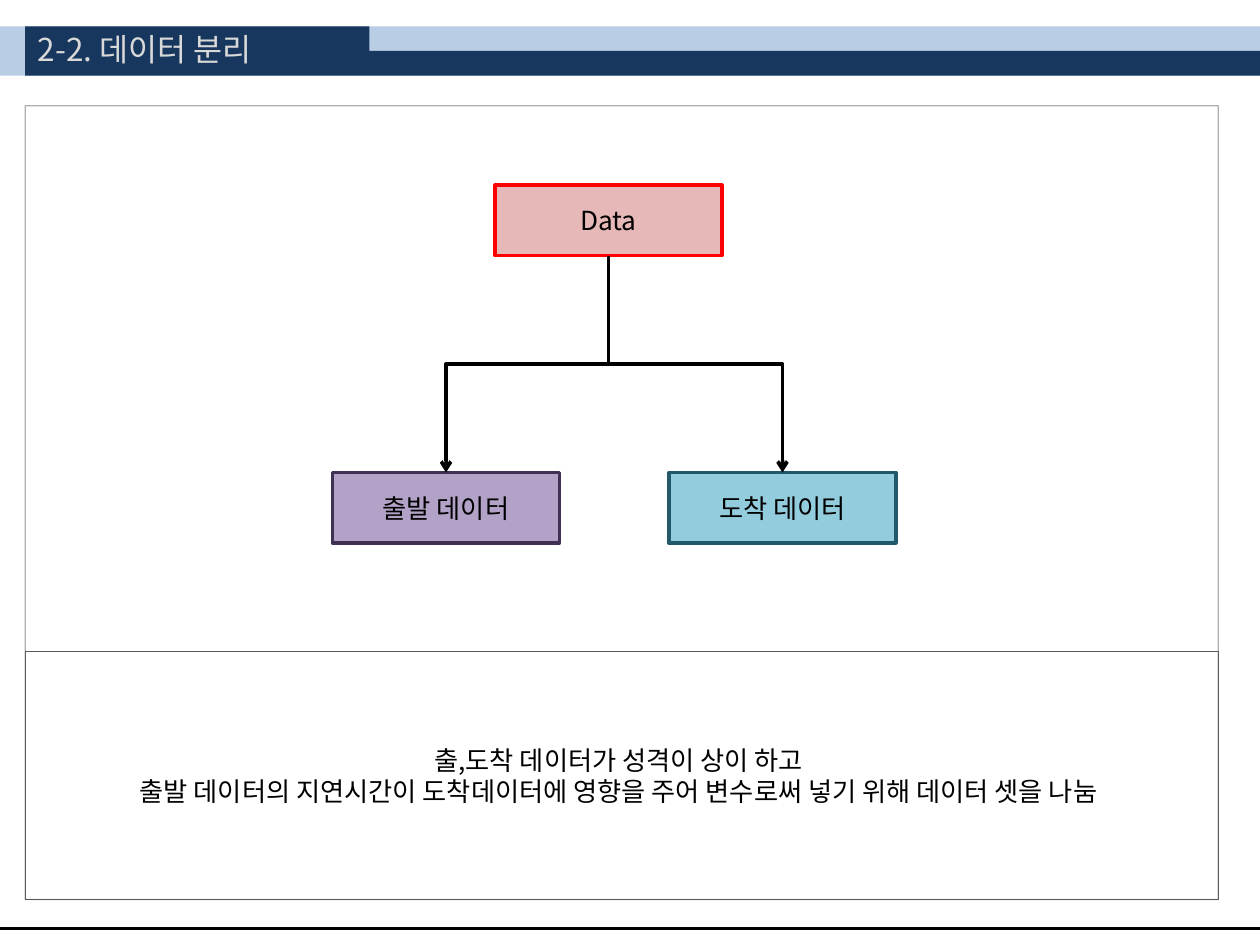
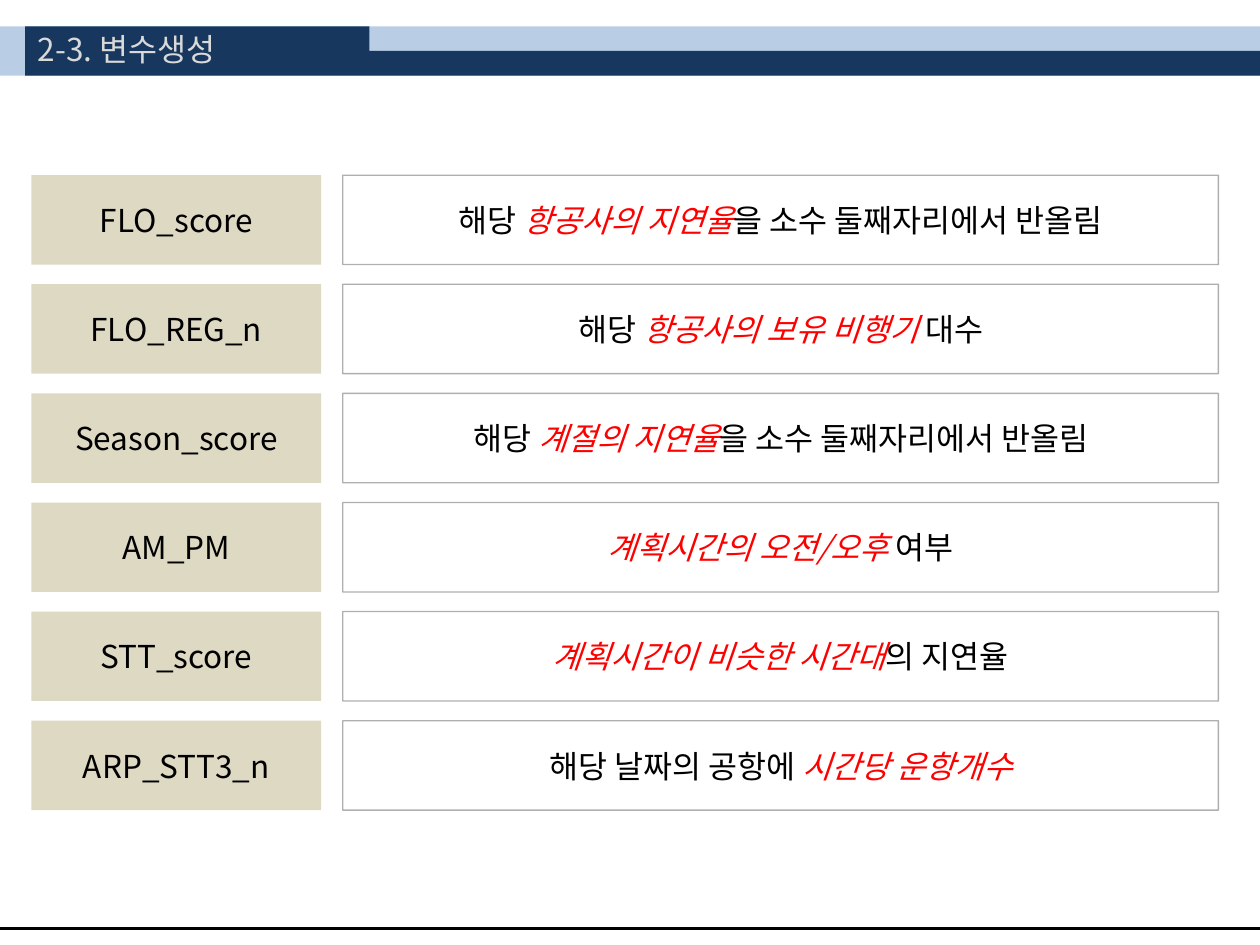
import dataclasses

import lxml.etree
import pptx
import pptx.dml.color
import pptx.enum.shapes
import pptx.enum.text
import pptx.oxml.ns
import pptx.util

Inches = pptx.util.Inches
Pt = pptx.util.Pt
qn = pptx.oxml.ns.qn
SHAPES = pptx.enum.shapes.MSO_SHAPE
CONNECTORS = pptx.enum.shapes.MSO_CONNECTOR
ALIGN = pptx.enum.text.PP_ALIGN
ANCHOR = pptx.enum.text.MSO_ANCHOR
BOTTOM_SIDE, TOP_SIDE = 2, 0


@dataclasses.dataclass(frozen=True)
class Theme:
    font: str = "Noto Sans CJK KR"
    title_size: int = 18
    variable_size: int = 18
    diagram_size: int = 15
    hairline: int = 0
    heavy: int = 2
    frame_alpha: int = 48
    band: str = "B9CDE5"
    navy: str = "17375E"
    title: str = "D9D9D9"
    ink: str = "000000"
    accent: str = "FF0000"
    frame: str = "595959"
    beige: str = "DDD9C3"
    rose: str = "E6B9B8"
    blue: str = "93CDDD"
    blue_edge: str = "215968"
    purple: str = "B3A2C7"
    purple_edge: str = "403152"


def rgb(value):
    return pptx.dml.color.RGBColor.from_string(value)


class Deck:
    def __init__(self, theme):
        self.theme = theme
        self.prs = pptx.Presentation()
        self.prs.slide_width, self.prs.slide_height = Inches(10), Inches(7.5)
        self.s = None

    def slide(self, title):
        """Start a slide with the header bands, footer line and title."""
        t = self.theme
        self.s = self.prs.slides.add_slide(self.prs.slide_layouts[5])
        self.box(0, 0.21, 10, 0.39, fill=t.band)
        header = self.box(0.2, 0.21, 9.8, 0.39, fill=t.navy, shape=SHAPES.CORNER)
        header.adjustments[0], header.adjustments[1] = 0.5, 7.0
        self.footer_line()
        self.title(title)

    def title(self, text):
        t = self.theme
        sp = self.s.shapes.title
        sp.left, sp.top = Inches(0.2), Inches(0.19)
        sp.width, sp.height = Inches(2.52), Inches(0.4)
        tf = sp.text_frame
        tf.auto_size = pptx.enum.text.MSO_AUTO_SIZE.NONE
        tf.vertical_anchor = ANCHOR.TOP
        p = tf.paragraphs[0]
        p.alignment = ALIGN.LEFT
        self.run(p, text, t.title_size, t.title)
        # Bring the title in front of the bands.
        self.s.shapes._spTree.append(sp._element)

    def footer_line(self):
        line = self.s.shapes.add_connector(
            CONNECTORS.STRAIGHT, 0, Inches(7.37), Inches(10), Inches(7.37))
        self.style_connector(line)

    def box(self, x, y, w, h, fill=None, line=None, width=0, alpha=None,
            shape=SHAPES.RECTANGLE):
        sp = self.s.shapes.add_shape(shape, Inches(x), Inches(y), Inches(w), Inches(h))
        sp.shadow.inherit = False
        if fill:
            sp.fill.solid()
            sp.fill.fore_color.rgb = rgb(fill)
        else:
            sp.fill.background()
        if line:
            sp.line.color.rgb = rgb(line)
            sp.line.width = Pt(width)
        else:
            sp.line.fill.background()
        if alpha:
            colour = sp.line._ln.find(".//" + qn("a:srgbClr"))
            lxml.etree.SubElement(colour, qn("a:alpha"), val=str(alpha * 1000))
        return sp

    def centred_text(self, sp, lines, size):
        """Write lines, each a list of (text, emphasised) runs, as one paragraph."""
        t = self.theme
        tf = sp.text_frame
        tf.word_wrap = True
        tf.vertical_anchor = ANCHOR.MIDDLE
        p = tf.paragraphs[0]
        p.alignment = ALIGN.CENTER
        for i, runs in enumerate(lines):
            if i:
                p.add_line_break()
            for text, emphasised in runs:
                self.run(p, text, size, t.accent if emphasised else t.ink, emphasised)

    def run(self, p, text, size, colour, italic=False):
        r = p.add_run()
        r.text = text
        r.font.size = Pt(size)
        r.font.italic = italic
        r.font.color.rgb = rgb(colour)
        r.font.name = self.theme.font
        lxml.etree.SubElement(r._r.get_or_add_rPr(), qn("a:ea"), typeface=self.theme.font)

    def style_connector(self, line):
        line.line.color.rgb = rgb(self.theme.ink)
        line.line.width = Pt(self.theme.heavy)
        lxml.etree.SubElement(line._element.spPr, qn("a:effectLst"))

    def branch(self, parent, child):
        """Join parent's bottom to child's top with an elbow arrow going down first."""
        line = self.s.shapes.add_connector(CONNECTORS.ELBOW, 0, 0, 0, 0)
        line.begin_connect(parent, BOTTOM_SIDE)
        line.end_connect(child, TOP_SIDE)
        x1, y1 = parent.left + parent.width // 2, parent.top + parent.height
        x2, y2 = child.left + child.width // 2, child.top
        # The elbow is stored sideways and turned about its centre.
        line.width, line.height = y2 - y1, abs(x2 - x1)
        line.left = (x1 + x2 - line.width) // 2
        line.top = (y1 + y2 - line.height) // 2
        to_right = x2 > x1
        xfrm = line._element.spPr.find(qn("a:xfrm"))
        for flip in ("flipH", "flipV"):
            xfrm.attrib.pop(flip, None)
        xfrm.set("rot", str((270 if to_right else 90) * 60000))
        if to_right:
            xfrm.set("flipH", "1")
        self.style_connector(line)
        lxml.etree.SubElement(line.line._ln, qn("a:tailEnd"), type="arrow")


def data_split_slide(deck):
    t = deck.theme
    deck.slide("2-2. 데이터 분리")
    deck.box(0.2, 0.84, 9.47, 6.3, line=t.frame, width=t.hairline, alpha=t.frame_alpha)

    def node(x, y, text, fill, edge):
        sp = deck.box(x, y, 1.8, 0.56, fill, edge, t.heavy)
        deck.centred_text(sp, [[(text, False)]], t.diagram_size)
        return sp

    data = node(3.93, 1.47, "Data", t.rose, t.accent)
    arrivals = node(5.31, 3.75, "도착 데이터", t.blue, t.blue_edge)
    departures = node(2.64, 3.75, "출발 데이터", t.purple, t.purple_edge)
    for child in (arrivals, departures):
        deck.branch(data, child)

    reason = deck.box(0.2, 5.17, 9.47, 1.97, line=t.frame, width=t.hairline)
    deck.centred_text(reason, [
        [("출,도착 데이터가 성격이 상이 하고 ", False)],
        [("출발 데이터의 지연시간이 도착데이터에 영향을 주어 "
          "변수로써 넣기 위해 데이터 셋을 나눔 ", False)],
    ], t.diagram_size)


VARIABLES = [
    ("FLO_score", [("해당 ", False), ("항공사의 지연율", True),
                   ("을 소수 둘째자리에서 반올림", False)]),
    ("FLO_REG_n", [("해당 ", False), ("항공사의 보유 비행기 ", True), ("대수", False)]),
    ("Season_score", [("해당 ", False), ("계절의 지연율", True),
                      ("을 소수 둘째자리에서 반올림", False)]),
    ("AM_PM", [("계획시간의 오전/오후", True), (" 여부", False)]),
    ("STT_score", [("계획시간이 비슷한 시간대", True), ("의 지연율", False)]),
    ("ARP_STT3_n", [("해당 날짜의 공항에 ", False), ("시간당 운항개수", True)]),
]


def variables_slide(deck):
    t = deck.theme
    deck.slide("2-3. 변수생성")
    first_top, last_top, height = 1.39, 5.72, 0.71
    pitch = (last_top - first_top) / (len(VARIABLES) - 1)
    for i, (name, meaning) in enumerate(VARIABLES):
        y = first_top + i * pitch
        label = deck.box(0.25, y, 2.3, height, fill=t.beige)
        deck.centred_text(label, [[(name, False)]], t.variable_size)
        detail = deck.box(2.72, y, 6.95, height, line=t.frame, width=t.hairline,
                          alpha=t.frame_alpha)
        deck.centred_text(detail, [meaning], t.variable_size)


def main():
    deck = Deck(Theme())
    data_split_slide(deck)
    variables_slide(deck)
    deck.prs.save("out.pptx")


if __name__ == "__main__":
    main()
